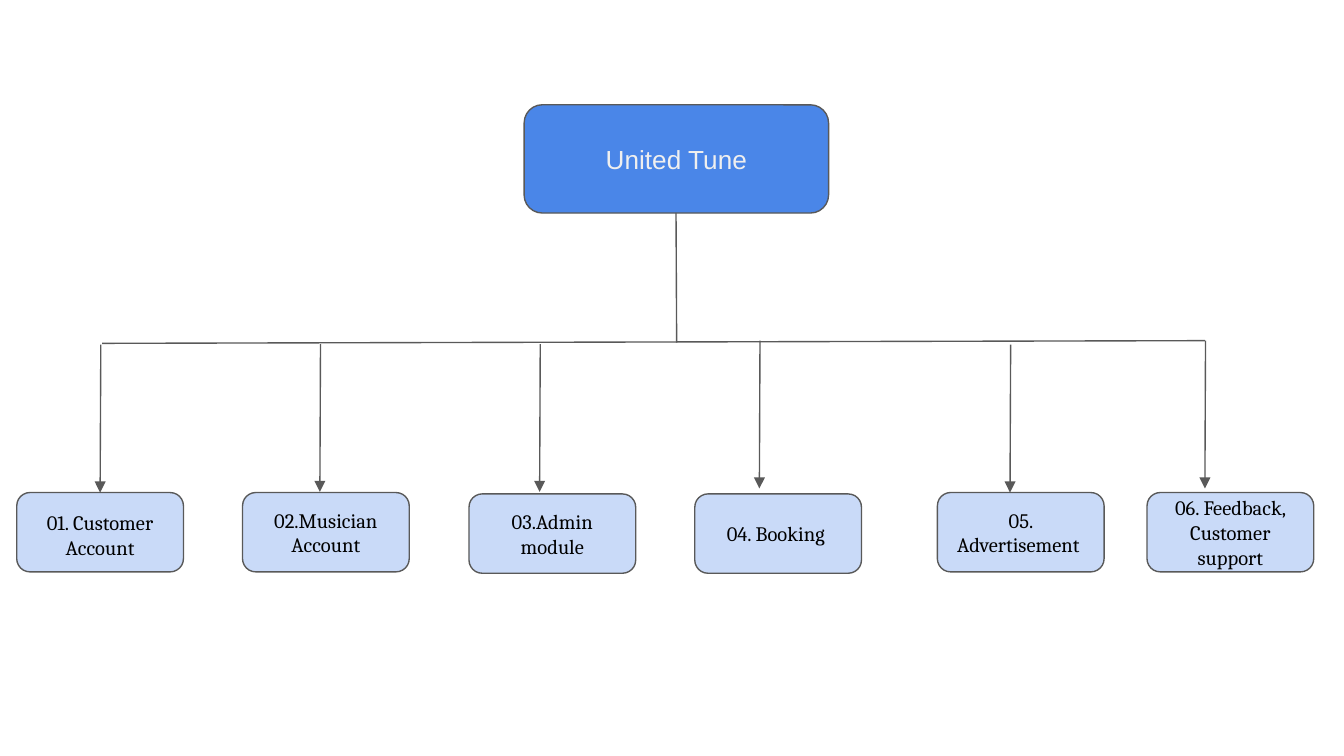
from typing import NamedTuple

from lxml.etree import SubElement
from pptx import Presentation
from pptx.dml.color import RGBColor
from pptx.enum.shapes import MSO_CONNECTOR, MSO_SHAPE
from pptx.enum.text import MSO_ANCHOR, PP_ALIGN
from pptx.oxml.ns import qn
from pptx.util import Pt

PX = 4572  # 200 px to the inch
GREY = "595959"
PAD = 20
DROP = 220


class Style(NamedTuple):
    fill: str
    ink: str
    font: str
    size: int


class Module(NamedTuple):
    """A leaf box with the start of the arrow that drops to it."""
    text: str
    left: int
    top: int
    start: tuple[int, int]
    anchor: MSO_ANCHOR = MSO_ANCHOR.MIDDLE


ROOT = Style("4A86E8", "EFEFEF", "Arial", 14)
LEAF = Style("C9DAF8", "000000", "Cambria", 11)

MODULES = [
    Module("01. Customer Account", 25, 733, (150, 513), MSO_ANCHOR.TOP),
    Module("02.Musician Account", 361, 733, (477, 512)),
    Module("03.Admin module", 698, 735, (804, 512)),
    Module("04. Booking ", 1034, 735, (1131, 507)),
    Module("05. Advertisement ", 1395, 733, (1504, 513)),
    Module("06. Feedback, Customer support", 1707, 733, (1794, 507)),
]


def color(code: str) -> RGBColor:
    return RGBColor.from_string(code)


def add_box(shapes, text: str, left: int, top: int, width: int, height: int,
            style: Style, anchor: MSO_ANCHOR = MSO_ANCHOR.MIDDLE) -> None:
    box = shapes.add_shape(MSO_SHAPE.ROUNDED_RECTANGLE,
                           left * PX, top * PX, width * PX, height * PX)
    box.shadow.inherit = False
    box.fill.solid()
    box.fill.fore_color.rgb = color(style.fill)
    box.line.color.rgb = color(GREY)
    box.line.width = Pt(0.75)

    frame = box.text_frame
    frame.word_wrap = True
    frame.vertical_anchor = anchor
    frame.margin_left = frame.margin_right = PAD * PX
    frame.margin_top = frame.margin_bottom = PAD * PX
    frame.text = text
    para = frame.paragraphs[0]
    para.alignment = PP_ALIGN.CENTER
    font = para.runs[0].font
    font.name = style.font
    font.size = Pt(style.size)
    font.color.rgb = color(style.ink)


def add_line(shapes, start: tuple[int, int], end: tuple[int, int],
             arrow: bool = False) -> None:
    line = shapes.add_connector(MSO_CONNECTOR.STRAIGHT,
                                *(n * PX for n in start + end))
    line.line.color.rgb = color(GREY)
    line.line.width = Pt(0.75)
    props = line._element.spPr
    if arrow:
        SubElement(props.find(qn("a:ln")), qn("a:tailEnd"),
                   type="triangle", w="med", len="med")
    SubElement(props, qn("a:effectLst"))


def main() -> None:
    deck = Presentation()
    deck.slide_width, deck.slide_height = 2000 * PX, 1125 * PX
    shapes = deck.slides.add_slide(deck.slide_layouts[6]).shapes

    add_box(shapes, "United Tune", 780, 156, 453, 161, ROOT)
    add_line(shapes, (1006, 317), (1007, 510))
    add_line(shapes, (152, 511), (1793, 507))
    for mod in MODULES:
        add_box(shapes, mod.text, mod.left, mod.top, 248, 118, LEAF, mod.anchor)
        x, y = mod.start
        add_line(shapes, mod.start, (x - 1, y + DROP), arrow=True)

    deck.save("out.pptx")


if __name__ == "__main__":
    main()
